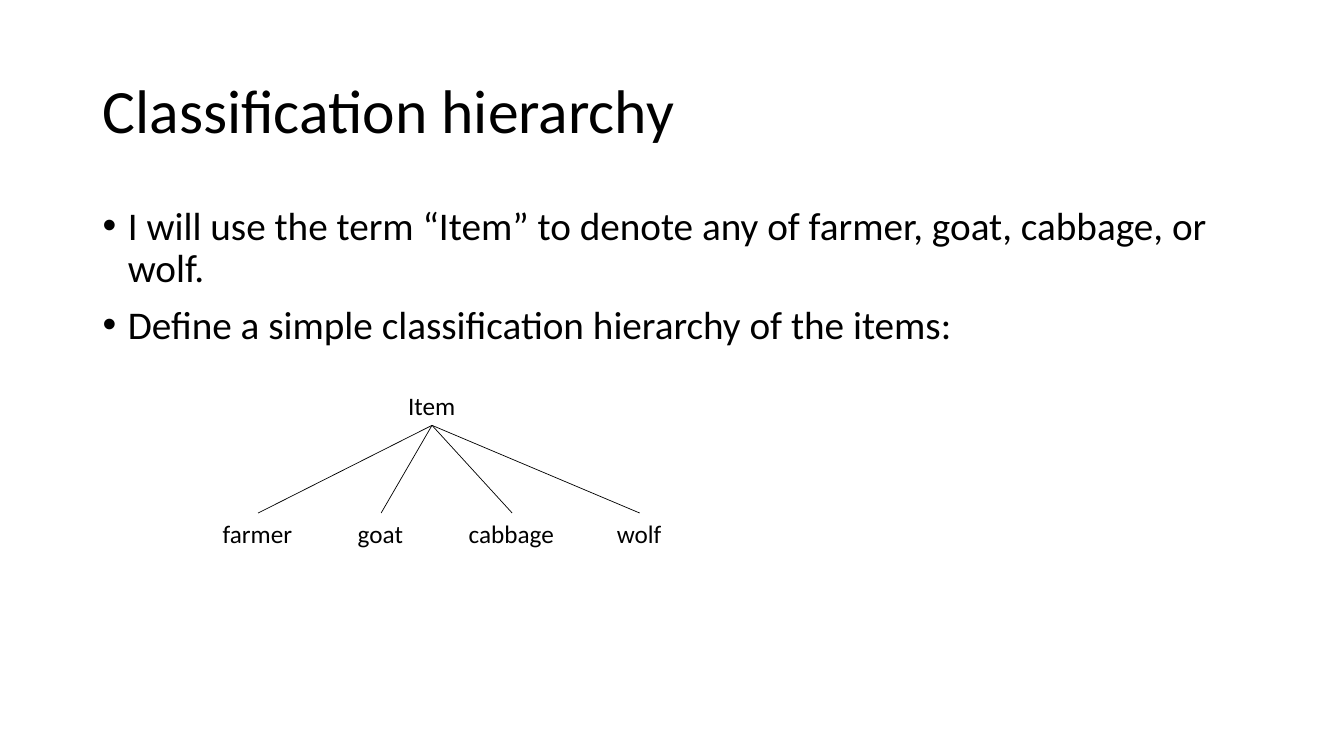
"""Build the classification hierarchy slide."""
from dataclasses import dataclass

from lxml.etree import SubElement
from pptx import Presentation
from pptx.dml.color import RGBColor
from pptx.enum.shapes import MSO_CONNECTOR
from pptx.enum.text import MSO_ANCHOR, MSO_AUTO_SIZE
from pptx.oxml.ns import qn
from pptx.slide import Slide
from pptx.text.text import TextFrame, _Paragraph
from pptx.util import Inches, Pt


@dataclass(frozen=True)
class Theme:
    """Colours, font and sizes."""
    ink: RGBColor = RGBColor(0, 0, 0)
    font: str = "Calibri"
    title: float = 44
    body: float = 28
    label: float = 18
    line: float = 0.5


@dataclass(frozen=True)
class Node:
    """A label of the tree, in inches."""
    text: str
    left: float
    top: float
    width: float
    height: float = 0.4

    @property
    def mid(self) -> float:
        """Return the horizontal centre."""
        return self.left + self.width / 2


THEME = Theme()
LEAF_TOP = 5.09
ROOT = Node("Item", 3.95, 3.82, 0.67)
LEAVES = [
    Node("farmer", 2.11, LEAF_TOP, 0.9),
    Node("goat", 3.45, LEAF_TOP, 0.66),
    Node("cabbage", 4.55, LEAF_TOP, 1.06),
    Node("wolf", 6.02, LEAF_TOP, 0.65),
]
POINTS = [
    "I will use the term “Item” to denote any of farmer, goat, cabbage, or wolf.",
    "Define a simple classification hierarchy of the items:",
]


def add_box(slide: Slide, left: float, top: float, width: float,
            height: float, wrap: bool = True) -> TextFrame:
    """Add a text box and return its frame."""
    box = slide.shapes.add_textbox(
        Inches(left), Inches(top), Inches(width), Inches(height))
    frame = box.text_frame
    frame.word_wrap = wrap
    return frame


def add_text(para: _Paragraph, text: str, size: float) -> None:
    """Add a run in the theme font."""
    run = para.add_run()
    run.text = text
    run.font.name = THEME.font
    run.font.size = Pt(size)
    run.font.color.rgb = THEME.ink


def add_title(slide: Slide, text: str) -> None:
    """Add the slide title."""
    frame = add_box(slide, 0.92, 0.4, 11.5, 1.45)
    frame.vertical_anchor = MSO_ANCHOR.MIDDLE
    para = frame.paragraphs[0]
    para.line_spacing = 0.9
    add_text(para, text, THEME.title)


def add_points(slide: Slide, points: list[str]) -> None:
    """Add the bullet list."""
    frame = add_box(slide, 0.92, 2, 11.5, 1.6)
    for rank, text in enumerate(points):
        para = frame.add_paragraph() if rank else frame.paragraphs[0]
        props = para._p.get_or_add_pPr()
        props.set("marL", str(Inches(0.25)))
        props.set("indent", str(Inches(-0.25)))
        SubElement(props, qn("a:buFont"), typeface="Arial")
        SubElement(props, qn("a:buChar"), char="•")
        para.line_spacing = 0.9
        para.space_before = Pt(10 if rank else 0)
        add_text(para, text, THEME.body)


def add_node(slide: Slide, node: Node) -> None:
    """Add a tree label."""
    frame = add_box(
        slide, node.left, node.top, node.width, node.height, wrap=False)
    frame.auto_size = MSO_AUTO_SIZE.SHAPE_TO_FIT_TEXT
    add_text(frame.paragraphs[0], node.text, THEME.label)


def add_edge(slide: Slide, root: Node, leaf: Node) -> None:
    """Join a root to a leaf."""
    edge = slide.shapes.add_connector(
        MSO_CONNECTOR.STRAIGHT,
        Inches(root.mid), Inches(root.top + root.height),
        Inches(leaf.mid), Inches(leaf.top))
    edge.line.color.rgb = THEME.ink
    edge.line.width = Pt(THEME.line)
    SubElement(edge._element.spPr, qn("a:effectLst"))


def main() -> None:
    """Build and save the slide."""
    deck = Presentation()
    deck.slide_width = Inches(13.33)
    deck.slide_height = Inches(7.5)
    slide = deck.slides.add_slide(deck.slide_layouts[6])
    add_title(slide, "Classification hierarchy")
    add_points(slide, POINTS)
    for node in [ROOT, *LEAVES]:
        add_node(slide, node)
    for leaf in LEAVES:
        add_edge(slide, ROOT, leaf)
    deck.save("out.pptx")


if __name__ == "__main__":
    main()
